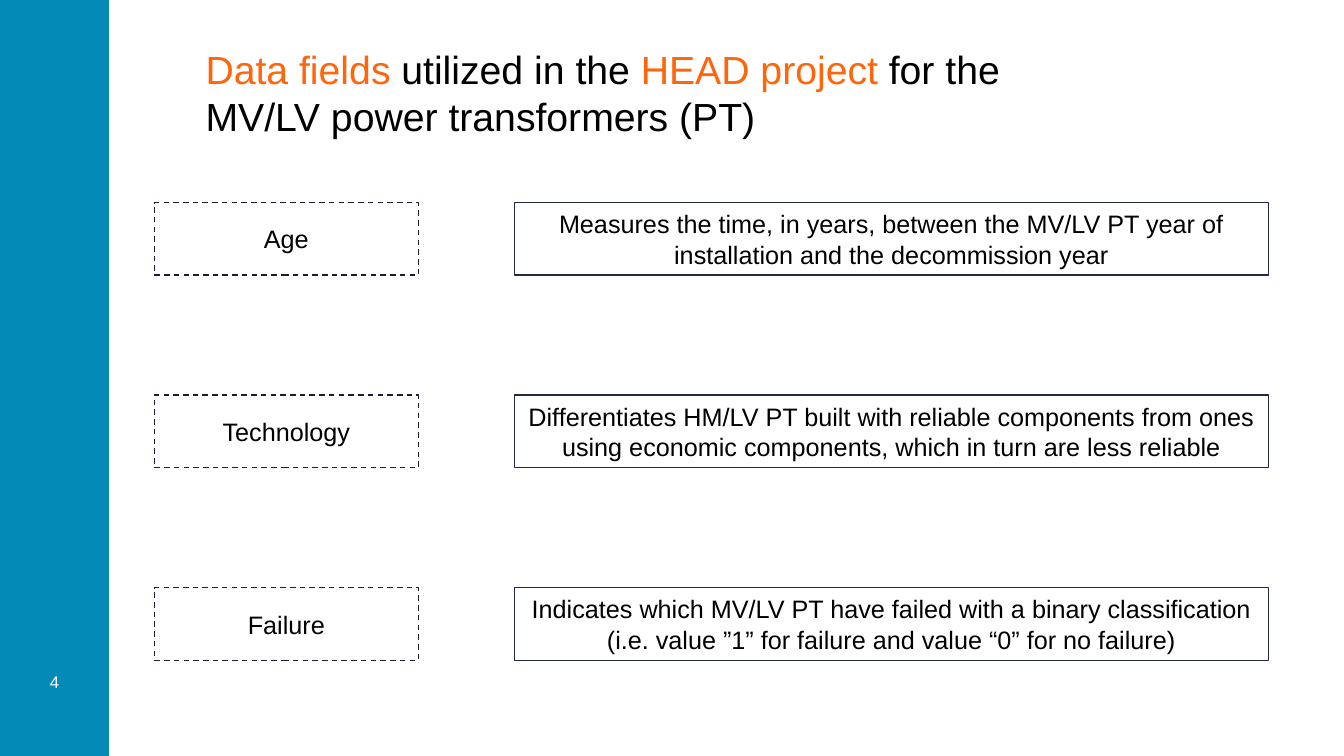
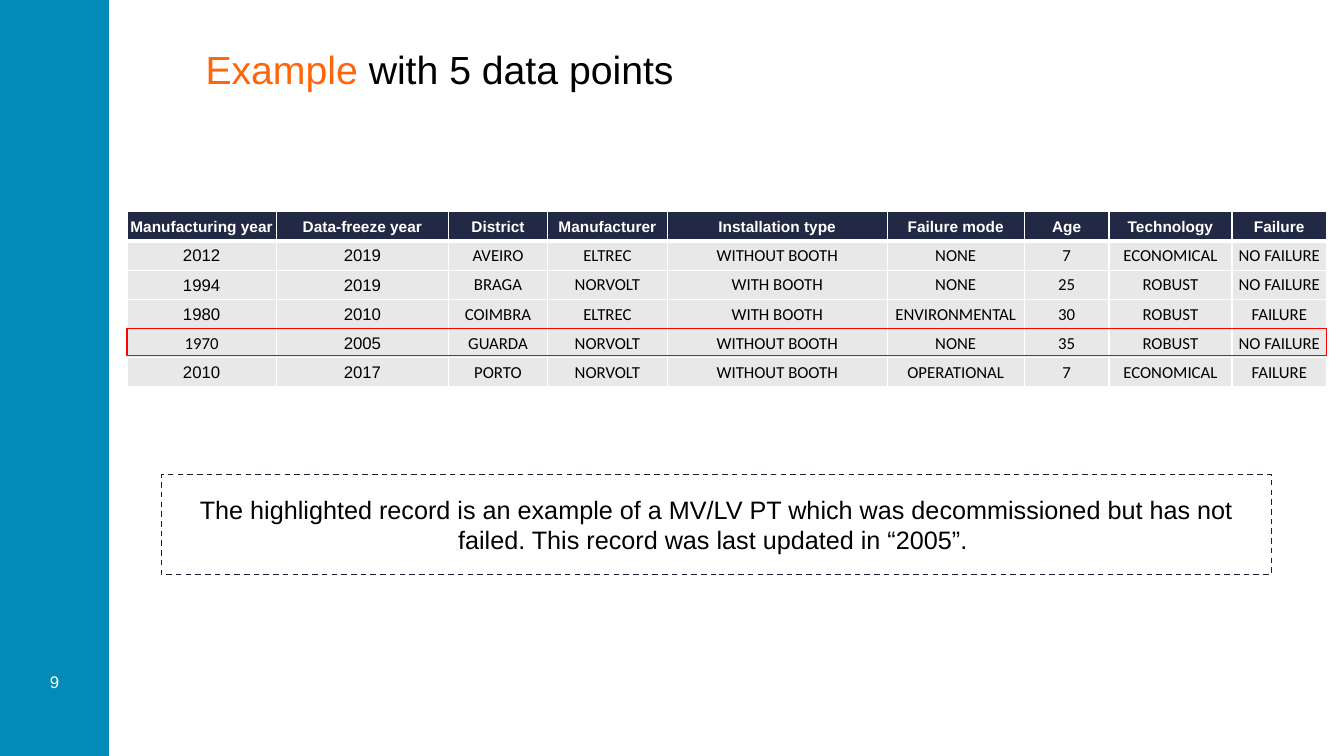
from dataclasses import dataclass

from lxml import etree
from pptx import Presentation
from pptx.dml.color import RGBColor
from pptx.enum.dml import MSO_LINE
from pptx.enum.shapes import MSO_SHAPE
from pptx.enum.text import MSO_ANCHOR, PP_ALIGN
from pptx.oxml.ns import qn
from pptx.util import Inches, Pt

RECTANGLE = MSO_SHAPE.RECTANGLE
DASH = MSO_LINE.DASH
MIDDLE = MSO_ANCHOR.MIDDLE
CENTER, LEFT = PP_ALIGN.CENTER, PP_ALIGN.LEFT


@dataclass(frozen=True)
class Theme:
    band: str = "038AB7"
    accent: str = "FF660C"
    ink: str = "000000"
    white: str = "FFFFFF"
    navy: str = "222944"
    dashed_line: str = "191E32"
    row_fill: str = "E8E8E9"
    highlight: str = "FF0000"
    font: str = "Arial"
    table_font: str = "Calibri"
    title_size: int = 28
    body_size: int = 18
    small_size: int = 12
    header_size: int = 11


THEME = Theme()

FIELDS = [
    ("Age", "Measures the time, in years, between the MV/LV PT year of "
            "installation and the decommission year"),
    ("Technology", "Differentiates HM/LV PT built with reliable components from ones "
                   "using economic components, which in turn are less reliable"),
    ("Failure", "Indicates which MV/LV PT have failed with a binary classification "
                "(i.e. value ”1” for failure and value “0” for no failure)"),
]

COLUMNS = [
    ("Manufacturing year", 1.48), ("Data-freeze year", 1.71), ("District", 0.98),
    ("Manufacturer", 1.19), ("Installation type", 2.18), ("Failure mode", 1.36),
    ("Age", 0.84), ("Technology", 1.22), ("Failure", 0.94),
]
RECORDS = [
    ("2012", "2019", "AVEIRO", "ELTREC", "WITHOUT BOOTH", "NONE", "7", "ECONOMICAL", "NO FAILURE"),
    ("1994", "2019", "BRAGA", "NORVOLT", "WITH BOOTH", "NONE", "25", "ROBUST", "NO FAILURE"),
    ("1980", "2010", "COIMBRA", "ELTREC", "WITH BOOTH", "ENVIRONMENTAL", "30", "ROBUST", "FAILURE"),
    ("1970", "2005", "GUARDA", "NORVOLT", "WITHOUT BOOTH", "NONE", "35", "ROBUST", "NO FAILURE"),
    ("2010", "2017", "PORTO", "NORVOLT", "WITHOUT BOOTH", "OPERATIONAL", "7", "ECONOMICAL", "FAILURE"),
]
YEAR_COLUMNS = 2
HIGHLIGHTED_ROW = 4
ROW_HEIGHT = 0.29


def rgb(color):
    return RGBColor.from_string(color)


def style_run(run, size, color, font=THEME.font, bold=False):
    run.font.size = Pt(size)
    run.font.name = font
    run.font.bold = bold
    run.font.color.rgb = rgb(color)


def write(text_frame, parts, size, align=CENTER, anchor=MIDDLE):
    """Fill one paragraph with (text, color) parts."""
    text_frame.word_wrap = True
    text_frame.vertical_anchor = anchor
    paragraph = text_frame.paragraphs[0]
    paragraph.alignment = align
    for text, color in parts:
        run = paragraph.add_run()
        run.text = text
        style_run(run, size, color)


def add_box(slide, box, fill=None, line=None, dashed=False, text=None):
    """Add a rectangle; box is left, top, width, height in inches."""
    shape = slide.shapes.add_shape(RECTANGLE, *map(Inches, box))
    shape.shadow.inherit = False
    if fill:
        shape.fill.solid()
        shape.fill.fore_color.rgb = rgb(fill)
    else:
        shape.fill.background()
    if line:
        shape.line.color.rgb = rgb(line)
        shape.line.width = Pt(1)
        if dashed:
            shape.line.dash_style = DASH
    else:
        shape.line.fill.background()
    if text:
        write(shape.text_frame, [(text, THEME.ink)], THEME.body_size)


def add_text(slide, box, parts, size, **layout):
    text_box = slide.shapes.add_textbox(*map(Inches, box))
    write(text_box.text_frame, parts, size, **layout)


def add_framed_slide(presentation, number, title_parts):
    """Add a slide with the side band, slide number and title."""
    slide = presentation.slides.add_slide(presentation.slide_layouts[6])
    add_box(slide, (0, 0, 1.08, 7.5), fill=THEME.band)
    add_text(slide, (0, 6.43, 1.08, 0.67), [(number, THEME.white)], THEME.small_size)
    add_text(slide, (1.94, 0.4, 8.72, 0.9), title_parts, THEME.title_size,
             align=LEFT, anchor=MSO_ANCHOR.TOP)
    return slide


def add_field_rows(slide, box):
    """Spread the field names and their definitions over the box."""
    left, top, width, height = box
    name_width, text_width, row_height = 2.62, 7.48, 0.72
    pitch = (height - row_height) / (len(FIELDS) - 1)
    for index, (name, definition) in enumerate(FIELDS):
        row_top = top + index * pitch
        add_box(slide, (left, row_top, name_width, row_height), THEME.white,
                THEME.dashed_line, dashed=True, text=name)
        add_box(slide, (left + width - text_width, row_top, text_width, row_height),
                THEME.white, THEME.navy, text=definition)


def set_borders(cell, bottom_width):
    properties = cell._tc.get_or_add_tcPr()
    for side, width in (("lnL", 1), ("lnR", 1), ("lnT", 1), ("lnB", bottom_width)):
        line = etree.SubElement(properties, qn(f"a:{side}"), w=str(Pt(width)))
        fill = etree.SubElement(line, qn("a:solidFill"))
        etree.SubElement(fill, qn("a:srgbClr"), val=THEME.white)


def fill_cell(cell, text, is_header, font):
    cell.margin_left = cell.margin_right = cell.margin_top = Inches(0.01)
    cell.margin_bottom = 0
    cell.vertical_anchor = MIDDLE
    set_borders(cell, 3 if is_header else 1)
    cell.fill.solid()
    cell.fill.fore_color.rgb = rgb(THEME.navy if is_header else THEME.row_fill)
    paragraph = cell.text_frame.paragraphs[0]
    paragraph.text = text
    paragraph.alignment = CENTER
    size = THEME.header_size if is_header else THEME.small_size
    color = THEME.white if is_header else THEME.ink
    style_run(paragraph.runs[0], size, color, font, bold=is_header)


def add_record_table(slide, left, top):
    """Place the records table and return its width."""
    headers, widths = zip(*COLUMNS)
    rows = [headers, *RECORDS]
    width = sum(widths)
    table = slide.shapes.add_table(
        len(rows), len(headers), Inches(left), Inches(top),
        Inches(width), Inches(ROW_HEIGHT * len(rows))).table
    for column, column_width in zip(table.columns, widths):
        column.width = Inches(column_width)
    for row_index, values in enumerate(rows):
        table.rows[row_index].height = Inches(ROW_HEIGHT)
        for column_index, value in enumerate(values):
            is_header = row_index == 0
            is_year = column_index < YEAR_COLUMNS
            # The manufacturing year of the highlighted record uses the table font
            is_marked = row_index == HIGHLIGHTED_ROW and column_index == 0
            uses_main_font = is_header or (is_year and not is_marked)
            font = THEME.font if uses_main_font else THEME.table_font
            fill_cell(table.cell(row_index, column_index), value, is_header, font)
    return width


def build_fields_slide(presentation):
    slide = add_framed_slide(presentation, "4", [
        ("Data fields ", THEME.accent), ("utilized in the ", THEME.ink),
        ("HEAD project ", THEME.accent),
        ("for the MV/LV power transformers (PT)", THEME.ink)])
    add_field_rows(slide, (1.53, 2.01, 11.05, 4.54))


def build_example_slide(presentation):
    slide = add_framed_slide(presentation, "9", [
        ("Example", THEME.accent), (" with 5 data points", THEME.ink)])
    left, top = 1.26, 2.1
    width = add_record_table(slide, left, top)
    # Explanation of the highlighted record
    add_box(slide, (1.6, 4.71, 11.01, 0.99), line=THEME.dashed_line, dashed=True,
            text="The highlighted record is an example of a MV/LV PT which was "
                 "decommissioned but has not failed. This record was last updated "
                 "in “2005”. ")
    # Frame around the highlighted record
    add_box(slide, (left, top + HIGHLIGHTED_ROW * ROW_HEIGHT, width, 0.27),
            line=THEME.highlight)


def main():
    presentation = Presentation()
    presentation.slide_width = Inches(13.33)
    presentation.slide_height = Inches(7.5)
    build_fields_slide(presentation)
    build_example_slide(presentation)
    presentation.save("out.pptx")


if __name__ == "__main__":
    main()
